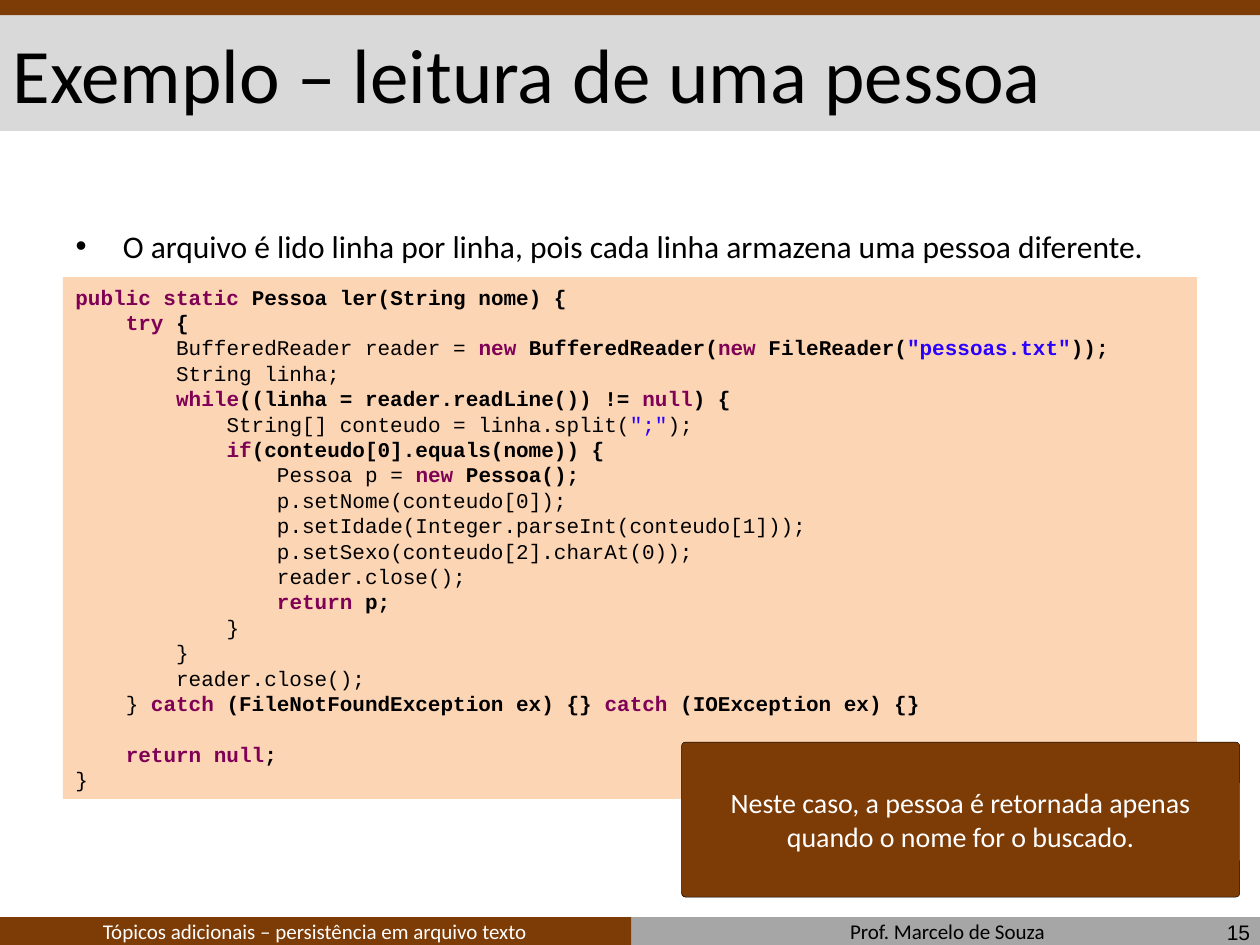
from pptx import Presentation
from pptx.dml.color import RGBColor
from pptx.enum.shapes import MSO_SHAPE
from pptx.enum.text import MSO_ANCHOR, PP_ALIGN
from pptx.oxml.ns import qn
from pptx.util import Inches, Pt

BROWN, PEACH, BLACK, WHITE = "7D3B05", "FCD5B5", "000000", "FFFFFF"
KEYWORD, STRING = "7F0055", "2A00FF"
LINE_HEIGHT = Pt(14.5)

# Each code line: indent level, then text with coloured words between bars
CODE = [
    (0, "|public static| Pessoa ler(String nome) {"),
    (1, "|try| {"),
    (2, 'BufferedReader reader = |new| BufferedReader(|new| FileReader(|"pessoas.txt"|));'),
    (2, "String linha;"),
    (2, "|while|((linha = reader.readLine()) != |null|) {"),
    (3, 'String[] conteudo = linha.split(|";"|);'),
    (3, "|if|(conteudo[0].equals(nome)) {"),
    (4, "Pessoa p = |new| Pessoa();"),
    (4, "p.setNome(conteudo[0]);"),
    (4, "p.setIdade(Integer.parseInt(conteudo[1]));"),
    (4, "p.setSexo(conteudo[2].charAt(0));"),
    (4, "reader.close();"),
    (4, "|return| p;"),
    (3, "}"),
    (2, "}"),
    (2, "reader.close();"),
    (1, "} |catch| (FileNotFoundException ex) {} |catch| (IOException ex) {}"),
    (1, "|return null|;"),
    (0, "}"),
]
LINE_AFTER_GAP = 17


def color(value):
    return RGBColor.from_string(value)


def style(span, size, value, font="Calibri", bold=False):
    span.font.size, span.font.name, span.font.bold = Pt(size), font, bold
    span.font.color.rgb = color(value)


def place(shape, box):
    shape.left, shape.top, shape.width, shape.height = (Inches(n) for n in box)


def add_block(page, box, fill, kind=MSO_SHAPE.RECTANGLE):
    block = page.shapes.add_shape(kind, *(Inches(n) for n in box))
    block.shadow.inherit = False
    block.fill.solid()
    block.fill.fore_color.rgb = color(fill)
    block.line.fill.background()
    return block


def write(shape, text, size, value, align, anchor, font="Calibri"):
    frame = shape.text_frame
    frame.text = text
    frame.word_wrap = True
    frame.vertical_anchor = anchor
    para = frame.paragraphs[0]
    para.alignment = align
    style(para.runs[0], size, value, font)
    return para


def add_label(page, box, text, value):
    label = page.shapes.add_textbox(*(Inches(n) for n in box))
    write(label, text, 12, value, PP_ALIGN.CENTER, MSO_ANCHOR.BOTTOM)


def add_page_number(page, box, number):
    holder = page.shapes.add_textbox(*(Inches(n) for n in box))
    para = write(holder, number, 12, BLACK, PP_ALIGN.RIGHT, MSO_ANCHOR.MIDDLE, "Arial")
    # Turn the run into a slide number field
    field = para._p.r_lst[0]
    field.tag = qn("a:fld")
    field.set("id", "{B6F15528-21DE-4FAA-801E-634DDDAF4B2B}")
    field.set("type", "slidenum")


def add_frame(page):
    # Footer halves, title band and top strip
    add_block(page, (5, 7.28, 5.01, 0.24), "A6A6A6")
    add_block(page, (0, 7.28, 5.01, 0.24), BROWN)
    add_block(page, (0, 0.11, 10, 0.93), "D9D9D9")
    add_block(page, (0, 0, 10.03, 0.12), BROWN)
    add_label(page, (5.01, 7.24, 5.02, 0.3), "Prof. Marcelo de Souza", BLACK)
    add_label(page, (0, 7.24, 5, 0.3),
              "Tópicos adicionais – persistência em arquivo texto", WHITE)


def fill_placeholders(page, title_text, body_text):
    title, body = page.shapes.title, page.placeholders[1]
    place(body, (0.5, 1.75, 9, 5.25))
    para = write(body, body_text, 18, BLACK, PP_ALIGN.JUSTIFY, MSO_ANCHOR.TOP)
    para.space_before = Pt(12)
    place(title, (0, 0.12, 10, 0.91))
    write(title, title_text, 44, BLACK, PP_ALIGN.LEFT, MSO_ANCHOR.MIDDLE)
    # Bring both in front of the bands
    for holder in (body, title):
        holder.element.getparent().append(holder.element)


def add_code_line(para, level, text):
    para.alignment = PP_ALIGN.LEFT
    para.line_spacing = LINE_HEIGHT
    para._p.get_or_add_pPr().set("marL", str(Inches(0.4 * level)))
    bold = False
    for position, piece in enumerate(text.split("|")):
        if not piece:
            continue
        value = BLACK
        if position % 2:
            value = STRING if piece.startswith('"') else KEYWORD
        # A line turns bold from its first keyword on
        bold = bold or value == KEYWORD
        span = para.add_run()
        span.text = piece
        style(span, 12, value, "Courier New", bold)


def add_code(page, box):
    frame = add_block(page, box, PEACH).text_frame
    frame.word_wrap = True
    frame.vertical_anchor = MSO_ANCHOR.MIDDLE
    for number, (level, text) in enumerate(CODE):
        para = frame.add_paragraph() if number else frame.paragraphs[0]
        add_code_line(para, level, text)
        if number == LINE_AFTER_GAP:
            para.space_before = LINE_HEIGHT


def add_callout(page, box, text):
    callout = add_block(page, box, BROWN, MSO_SHAPE.ROUNDED_RECTANGLE)
    callout.adjustments[0] = 0.025
    callout.line.color.rgb = color(BLACK)
    callout.line.width = Pt(0.25)
    write(callout, text, 16, WHITE, PP_ALIGN.CENTER, MSO_ANCHOR.MIDDLE)


deck = Presentation()
deck.slide_width, deck.slide_height = Inches(10), Inches(7.5)
# Numbering starts so that this page is number 15
deck.element.set("firstSlideNum", "15")
page = deck.slides.add_slide(deck.slide_layouts[1])
add_frame(page)
fill_placeholders(
    page, "Exemplo – leitura de uma pessoa",
    "O arquivo é lido linha por linha, pois cada linha armazena uma pessoa diferente.")
add_page_number(page, (7.69, 7.23, 2.33, 0.33), "15")
add_code(page, (0.5, 2.2, 9, 4.14))
add_callout(page, (5.41, 5.89, 4.43, 1.23),
            "Neste caso, a pessoa é retornada apenas quando o nome for o buscado.")
deck.save("out.pptx")
